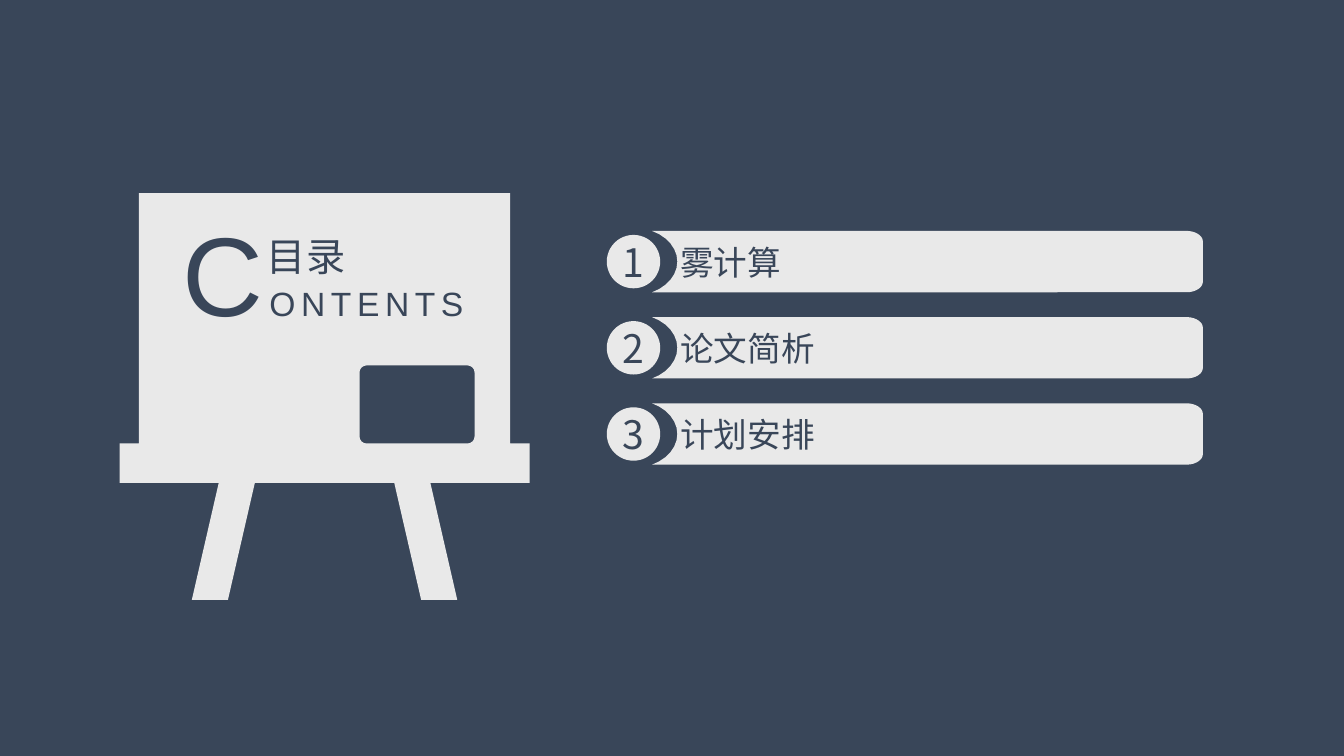
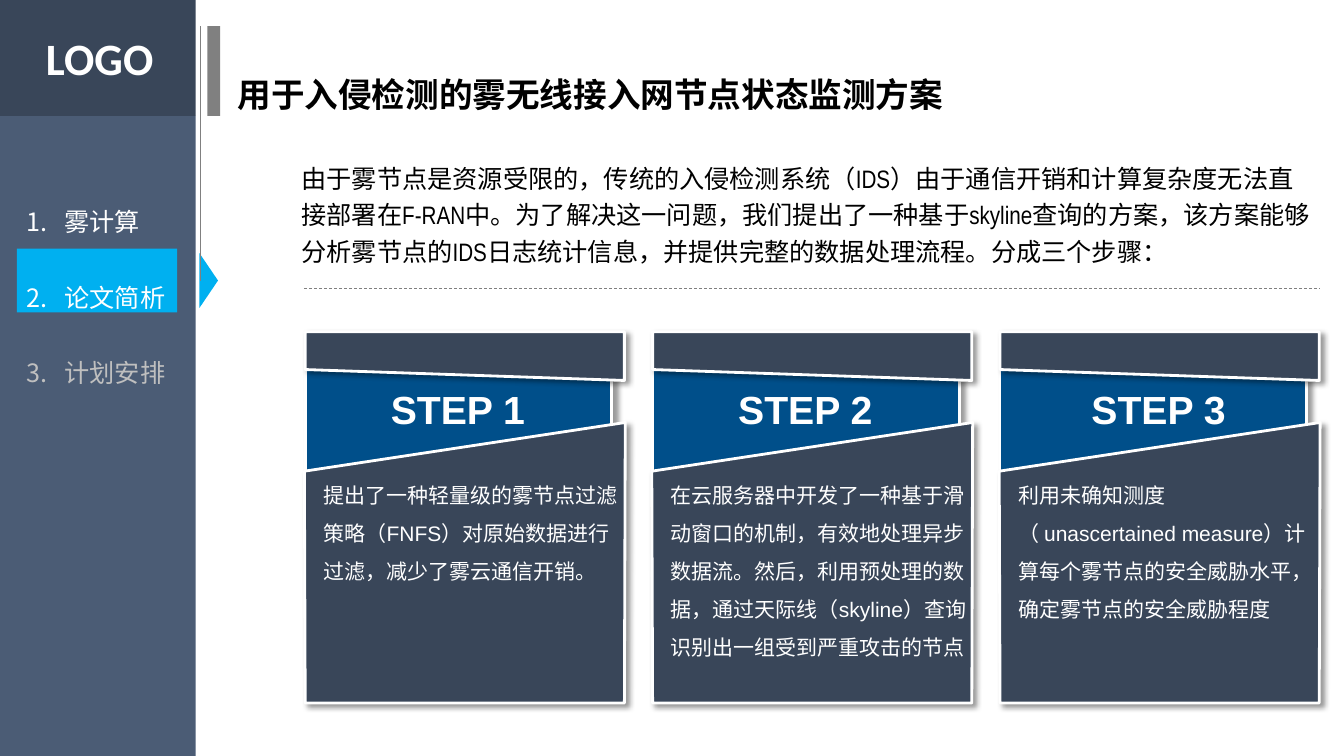
from math import cos, radians, sin

from lxml import etree
from pptx import Presentation
from pptx.dml.color import RGBColor
from pptx.enum.dml import MSO_LINE
from pptx.enum.shapes import MSO_CONNECTOR, MSO_SHAPE
from pptx.enum.text import MSO_ANCHOR, MSO_AUTO_SIZE, PP_ALIGN
from pptx.oxml.ns import qn
from pptx.util import Emu, Pt

RECTANGLE, OVAL, TRIANGLE = MSO_SHAPE.RECTANGLE, MSO_SHAPE.OVAL, MSO_SHAPE.ISOSCELES_TRIANGLE
STRAIGHT, DASH = MSO_CONNECTOR.STRAIGHT, MSO_LINE.DASH
TOP, MIDDLE = MSO_ANCHOR.TOP, MSO_ANCHOR.MIDDLE
LEFT, CENTER = PP_ALIGN.LEFT, PP_ALIGN.CENTER
GROW = MSO_AUTO_SIZE.SHAPE_TO_FIT_TEXT

# The grid has 160 columns and 90 rows of square cells
COLUMNS, ROWS, CELL = 160, 90, 76200
COLORS = {
    "navy": "394659", "slate": "4B5C75", "paper": "E9E9E9", "white": "FFFFFF",
    "sky": "00B0F0", "blue": "004F8A", "gray": "808080", "pale": "BFBFBF",
    "black": "000000",
}
CJK, SANS, NARROW, LATIN = "Noto Sans CJK SC", "Arial", "Arial Narrow", "Calibri"
CHAPTERS = ["雾计算", "论文简析", "计划安排"]
STEPS = [
    (9.1, "提出了一种轻量级的雾节点过滤策略（FNFS）对原始数据进行过滤，减少了雾云通信开销。"),
    (9.1, "在云服务器中开发了一种基于滑动窗口的机制，有效地处理异步数据流。然后，利用预处理的数据，"
          "通过天际线（skyline）查询识别出一组受到严重攻击的节点"),
    (9.8, "利用未确知测度（ unascertained measure）计算每个雾节点的安全威胁水平，"
          "确定雾节点的安全威胁程度"),
]
INTRO = ("由于雾节点是资源受限的，传统的入侵检测系统（IDS）由于通信开销和计算复杂度无法直接部署在F-RAN中。"
         "为了解决这一问题，我们提出了一种基于skyline查询的方案，该方案能够分析雾节点的IDS日志统计信息，"
         "并提供完整的数据处理流程。分成三个步骤：")


def cells(*values):
    return [Emu(round(value * CELL)) for value in values]


def color(name):
    return RGBColor.from_string(COLORS[name])


def arc(center_x, center_y, radius_x, radius_y, start, end, pieces=12):
    """Points along an elliptical arc; angles run clockwise from the right."""
    angles = [radians(start + (end - start) * i / pieces) for i in range(pieces + 1)]
    return [(center_x + radius_x * cos(a), center_y + radius_y * sin(a)) for a in angles]


def rounded_box(left, top, right, bottom, radius):
    corners = [(left + radius, top + radius, 180), (right - radius, top + radius, 270),
               (right - radius, bottom - radius, 0), (left + radius, bottom - radius, 90)]
    return [point for x, y, start in corners
            for point in arc(x, y, radius, radius, start, start + 90, 4)]


class Deck:
    def __init__(self):
        self.deck = Presentation()
        self.deck.slide_width, self.deck.slide_height = cells(COLUMNS, ROWS)
        self.page = None

    def new_page(self, background):
        self.page = self.deck.slides.add_slide(self.deck.slide_layouts[6])
        fill = self.page.background.fill
        fill.solid()
        fill.fore_color.rgb = color(background)

    def paint(self, shape, fill, outline=None, shadow_angle=None):
        shape.shadow.inherit = False
        shape.fill.solid()
        shape.fill.fore_color.rgb = color(fill)
        if outline:
            shape.line.color.rgb = color(outline)
            shape.line.width = Pt(2)
        else:
            shape.line.fill.background()
        if shadow_angle is not None:
            effects = shape._element.spPr.find(qn("a:effectLst"))
            shadow = etree.SubElement(
                effects, qn("a:outerShdw"), blurRad=str(Pt(4)), dist=str(Pt(3)),
                dir=str(shadow_angle * 60000), algn="tl", rotWithShape="0")
            tint = etree.SubElement(shadow, qn("a:srgbClr"), val=COLORS["black"])
            etree.SubElement(tint, qn("a:alpha"), val="40000")
        return shape

    def shape(self, kind, left, top, width, height, fill, **look):
        shape = self.page.shapes.add_shape(kind, *cells(left, top, width, height))
        return self.paint(shape, fill, **look)

    def outline(self, contours, fill, **look):
        """A filled outline; each contour is a list of grid points."""
        contours = [[cells(x, y) for x, y in contour] for contour in contours]
        builder = self.page.shapes.build_freeform(*contours[0][0])
        for index, contour in enumerate(contours):
            if index:
                builder.move_to(*contour[0])
            builder.add_line_segments(contour[1:], close=True)
        return self.paint(builder.convert_to_shape(), fill, **look)

    def line(self, start, end, tint, dash=None):
        line = self.page.shapes.add_connector(STRAIGHT, *cells(*start, *end))
        line.line.color.rgb = color(tint)
        line.line.width = Pt(0.5)
        if dash:
            line.line.dash_style = dash
        etree.SubElement(line._element.spPr, qn("a:effectLst"))

    def style_span(self, span, size, tint, font, bold=False, tracking=0):
        span.font.size = Pt(size)
        span.font.bold = bold
        span.font.color.rgb = color(tint)
        span.font.name = font
        properties = span._r.get_or_add_rPr()
        etree.SubElement(properties, qn("a:ea"), typeface=CJK)
        if tracking:
            properties.set("spc", str(tracking * 100))

    def fill_text(self, box, text, size, tint, font=CJK, align=LEFT, anchor=TOP,
                  wrap=True, spacing=None, insets=None, **look):
        frame = box.text_frame
        frame.text = text
        frame.word_wrap = wrap
        frame.vertical_anchor = anchor
        if insets:
            (frame.margin_left, frame.margin_top,
             frame.margin_right, frame.margin_bottom) = cells(*insets)
        for para in frame.paragraphs:
            para.alignment = align
            if spacing:
                para.line_spacing = spacing
            for span in para.runs:
                self.style_span(span, size, tint, font, **look)
        return frame

    def text(self, left, top, width, height, text, size, tint, grow=False, **look):
        box = self.page.shapes.add_textbox(*cells(left, top, width, height))
        frame = self.fill_text(box, text, size, tint, **look)
        if grow:
            frame.auto_size = GROW
        return frame

    def easel(self):
        """A board on two legs, mirrored about its centre, with a window cut out."""
        center = 38.64
        half = [(22.1, 23), (22.1, 52.8), (24.4, 52.8), (24.4, 57.5),
                (12.6, 57.5), (15.8, 71.4), (11.5, 71.4), (8.3, 57.5)]
        board = [(center - x, y) for x, y in half]
        board += [(center + x, y) for x, y in reversed(half)]
        self.outline([board, rounded_box(42.8, 43.5, 56.5, 52.8, 0.85)], "paper")

    def chapter_bar(self, number, title):
        top, height, right = 27.5 + 10.26 * (number - 1), 7.3, 143.2
        middle, bottom, center = top + height / 2, top + height, 75.42
        radius_x, radius_y, size = 1.95, 1.25, 6.36
        points = arc(right - radius_x, top + radius_y, radius_x, radius_y, -90, 0)
        points += arc(right - radius_x, bottom - radius_y, radius_x, radius_y, 0, 90)
        points += arc(center, middle, 5.22, 4.03, 65, -65)
        bar = self.outline([points], "paper")
        self.fill_text(bar, title, 24, "navy", anchor=MIDDLE, insets=(3.36, 0.5, 0.5, 0.5))
        badge = self.shape(OVAL, center - size / 2, middle - size / 2, size, size, "paper")
        self.fill_text(badge, str(number), 28, "navy", align=CENTER, anchor=MIDDLE,
                       insets=(0, 0, 0, 0))

    def sidebar(self, current):
        width, head = 23.3, 13.8
        self.shape(RECTANGLE, 0, head, width, ROWS - head, "slate")
        self.shape(RECTANGLE, 0, 0, width, head, "navy")
        self.shape(RECTANGLE, 2, 29.6, 19.1, 7.6, "sky")
        self.shape(TRIANGLE, 21.6, 32.3, 6.5, 2.2, "sky").rotation = 90
        self.text(4.3, 3.1, 15.4, 7.7, "LOGO", 32, "white", font=LATIN, bold=True,
                  wrap=False, grow=True)
        self.line((23.8, 33.4), (23.8, 3.1), "gray")
        # Numbered chapters, those after the current one in a paler colour
        frame = self.text(2, 18.6, 19.1, 28.4, "\n".join(CHAPTERS), 18, "white",
                          wrap=False, spacing=2.5, grow=True)
        indent = cells(4.5)[0]
        for number, para in enumerate(frame.paragraphs, 1):
            properties = para._p.get_or_add_pPr()
            properties.set("marL", str(indent))
            properties.set("indent", str(-indent))
            etree.SubElement(properties, qn("a:buFont"), typeface="+mj-lt")
            etree.SubElement(properties, qn("a:buAutoNum"), type="arabicPeriod")
            if number > current:
                para.runs[0].font.color.rgb = color("pale")

    def title(self, text):
        self.shape(RECTANGLE, 24.7, 3.1, 1.5, 10.7, "gray")
        self.text(27.1, 8.2, 87.2, 6, text, 24, "black", bold=True, wrap=False, grow=True)

    def step_card(self, number, label_offset, text):
        left = 36.24 + 41.36 * (number - 1)
        self.shape(RECTANGLE, left + 0.1, 43.7, 36.5, 24.4, "blue",
                   outline="white", shadow_angle=0)
        body = [(38.2, 50.3), (38.1, 83.7), (0.1, 83.7), (0, 56.1)]
        strip = [(0.1, 39.5), (38.1, 39.5), (38.1, 45.3), (0.1, 44)]
        self.outline([[(left + x, y) for x, y in part] for part in (body, strip)],
                     "navy", outline="white", shadow_angle=45)
        self.text(left + label_offset, 45.3, 18.6, 6.9, f"STEP {number}", 28, "white",
                  font=SANS, bold=True, wrap=False, grow=True)
        self.text(left + 1.1, 55.4, 37.9, 20, text, 15, "white", font=SANS,
                  spacing=1.5, grow=True)


def main():
    deck = Deck()

    # Contents
    deck.new_page("navy")
    deck.easel()
    heading = deck.text(20.6, 25.4, 37.4, 13.9, "C", 80, "navy", font=SANS,
                        anchor=MIDDLE, tracking=4)
    span = heading.paragraphs[0].add_run()
    span.text = "ONTENTS"
    deck.style_span(span, 24, "navy", SANS, tracking=4)
    deck.text(30.6, 27.5, 24.1, 5.9, "目录", 28, "navy", anchor=MIDDLE)
    for number, chapter in enumerate(CHAPTERS, 1):
        deck.chapter_bar(number, chapter)

    # Scheme in three steps
    deck.new_page("white")
    deck.sidebar(current=2)
    deck.title("用于入侵检测的雾无线接入网节点状态监测方案")
    deck.text(34.7, 16, 123.2, 18.4, INTRO, 18, "black", font=NARROW, anchor=MIDDLE,
              spacing=Pt(26))
    deck.line((36.2, 34.3), (157.2, 34.3), "gray", DASH)
    for number, (label_offset, text) in enumerate(STEPS, 1):
        deck.step_card(number, label_offset, text)

    deck.deck.save("out.pptx")


if __name__ == "__main__":
    main()
